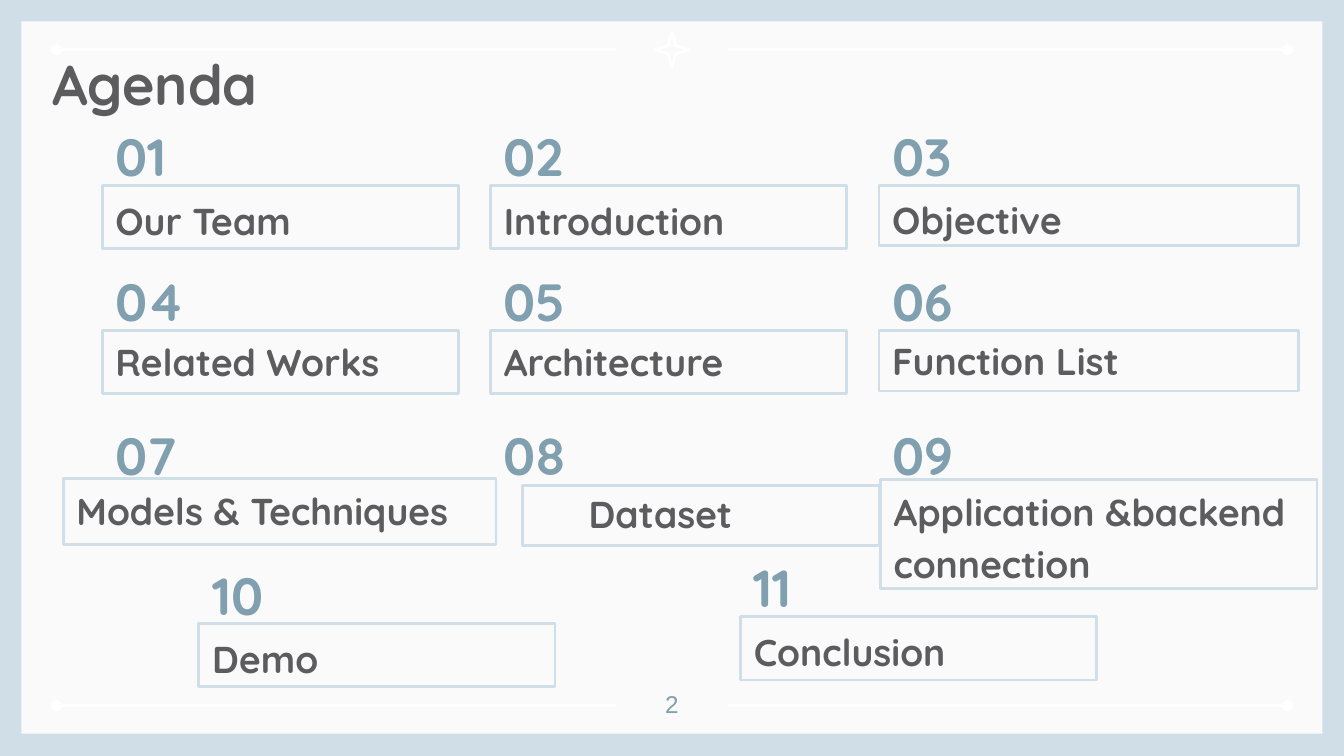
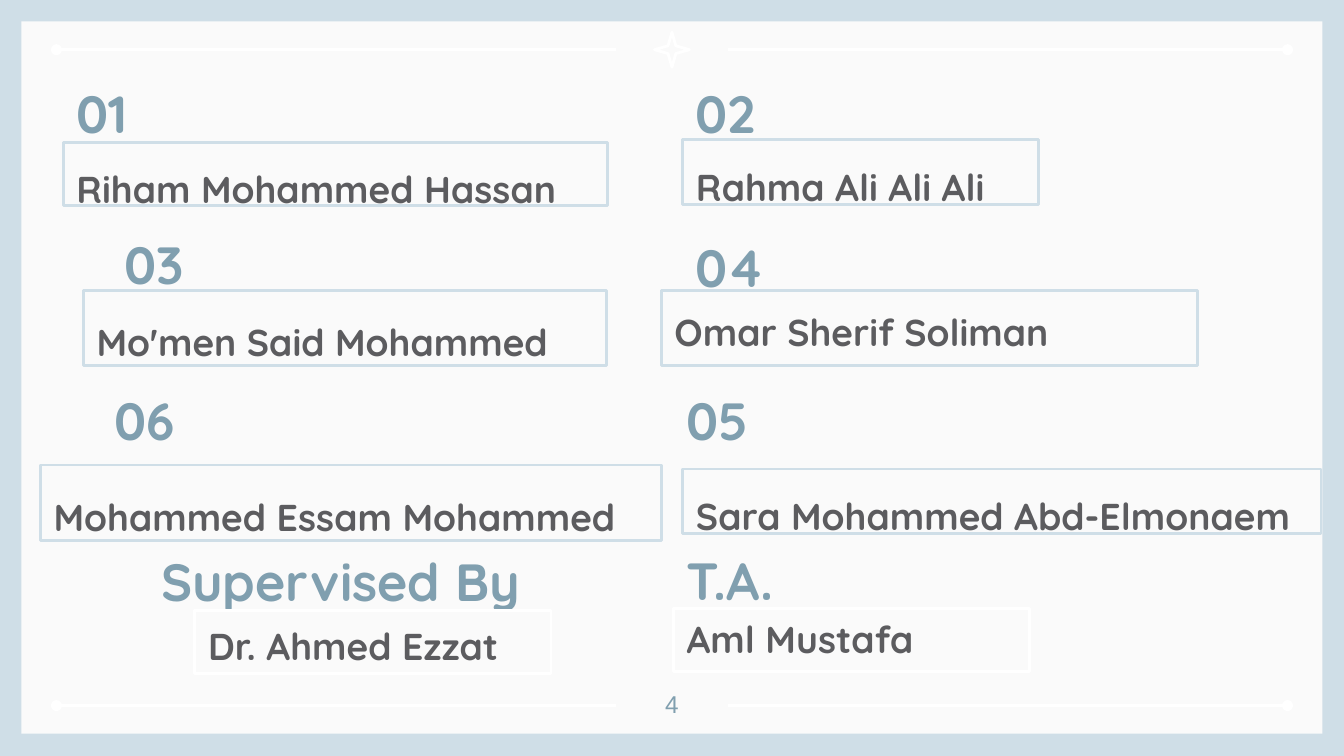
from dataclasses import dataclass

from lxml.etree import SubElement
from pptx import Presentation
from pptx.dml.color import RGBColor
from pptx.enum.shapes import MSO_CONNECTOR, MSO_SHAPE
from pptx.enum.text import MSO_ANCHOR, PP_ALIGN
from pptx.oxml.ns import qn
from pptx.util import Inches, Pt


@dataclass(frozen=True)
class Theme:
    frame: str = "CFDEE7"
    panel: str = "FAFAFA"
    ornament: str = "FFFFFF"
    accent: str = "809FAF"
    ink: str = "5C5C5F"
    font: str = "Quicksand"
    page_font: str = "Arial"
    title_size: int = 30
    number_size: int = 28
    label_size: int = 20
    page_size: int = 13
    line_width: float = 1.5
    line_spacing: float = 1.15
    inset: float = 0.1


THEME = Theme()
SLIDE_WIDTH = 10
SLIDE_HEIGHT = SLIDE_WIDTH * 9 / 16
NUMBER_SIZE = (0.72, 0.48)


def color(value):
    return RGBColor.from_string(value)


def write_text(shape, text, *, size, text_color, font=THEME.font, bold=True,
               align=PP_ALIGN.LEFT, anchor=MSO_ANCHOR.MIDDLE,
               spacing=THEME.line_spacing, indent=0, shift=0):
    """Fill a shape with one paragraph; shift moves the text down inside it."""
    frame = shape.text_frame
    frame.word_wrap = True
    frame.vertical_anchor = anchor
    frame.margin_left = Inches(THEME.inset + indent)
    frame.margin_right = Inches(THEME.inset)
    frame.margin_top = Inches(THEME.inset + shift)
    frame.margin_bottom = Inches(THEME.inset - shift)
    paragraph = frame.paragraphs[0]
    paragraph.alignment = align
    paragraph.line_spacing = spacing
    run = paragraph.add_run()
    run.text = text
    run.font.name = font
    run.font.size = Pt(size)
    run.font.bold = bold
    run.font.color.rgb = color(text_color)


def add_text(slide, box, text, **text_format):
    text_box = slide.shapes.add_textbox(*map(Inches, box))
    write_text(text_box, text, **text_format)


def add_box(slide, box, *, kind=MSO_SHAPE.RECTANGLE, fill=None, line=None):
    shape = slide.shapes.add_shape(kind, *map(Inches, box))
    shape.shadow.inherit = False
    if fill:
        shape.fill.solid()
        shape.fill.fore_color.rgb = color(fill)
    else:
        shape.fill.background()
    if line:
        shape.line.color.rgb = color(line)
        shape.line.width = Pt(THEME.line_width)
    else:
        shape.line.fill.background()
    return shape


def add_rule(slide, left, right, top, dotted_end):
    """Draw a horizontal rule with a dot at its headEnd or tailEnd."""
    rule = slide.shapes.add_connector(
        MSO_CONNECTOR.STRAIGHT, *map(Inches, (left, top, right, top)))
    rule.line.color.rgb = color(THEME.ornament)
    rule.line.width = Pt(THEME.line_width)
    properties = rule.element.spPr
    SubElement(properties.find(qn("a:ln")), qn(f"a:{dotted_end}"), type="oval")
    SubElement(properties, qn("a:effectLst"))


def add_ornaments(slide, box):
    """Place the rules and the star inside the panel."""
    left, top, width, height = box
    margin, length = 0.26, 4.16
    for rule_top in (top + 0.21, top + height - 0.21):
        start, end = left + margin, left + width - margin
        add_rule(slide, start, start + length, rule_top, "headEnd")
        add_rule(slide, end - length, end, rule_top, "tailEnd")
    star_size = 0.26
    star = add_box(
        slide, (left + (width - star_size) / 2, top + 0.08, star_size, star_size),
        kind=MSO_SHAPE.STAR_4_POINT, line=THEME.ornament)
    star.adjustments[0] = 0.157


def add_framed_slide(presentation, page_number):
    slide = presentation.slides.add_slide(presentation.slide_layouts[6])
    slide.background.fill.solid()
    slide.background.fill.fore_color.rgb = color(THEME.frame)
    panel = (0.16, 0.16, 9.68, 5.3)
    add_box(slide, panel, fill=THEME.panel)
    add_ornaments(slide, panel)
    add_text(slide, (4.7, 5.03, 0.6, 0.36), str(page_number),
             size=THEME.page_size, text_color=THEME.accent, bold=False,
             font=THEME.page_font, align=PP_ALIGN.CENTER,
             anchor=MSO_ANCHOR.TOP, spacing=1.0)
    return slide


def add_entry(slide, box, heading, label, heading_box=None,
              line=THEME.frame, **label_format):
    """Draw an outlined label with its heading, by default just above it."""
    left, top, _, _ = box
    add_text(slide, heading_box or (left, top - 0.5, *NUMBER_SIZE), heading,
             size=THEME.number_size, text_color=THEME.accent)
    write_text(add_box(slide, box, line=line), label,
               size=THEME.label_size, text_color=THEME.ink, **label_format)


def build_agenda(presentation):
    slide = add_framed_slide(presentation, 2)
    add_text(slide, (0.29, 0.27, 2.52, 0.61), "Agenda", size=THEME.title_size,
             text_color=THEME.ink, anchor=MSO_ANCHOR.TOP, spacing=1.0)

    columns = [0.76 + 2.89 * column for column in range(3)]
    sizes = [(2.65, 0.47), (2.65, 0.47), (3.12, 0.45)]
    grid = [
        (1.38, 0, ("Our Team", "Introduction", "Objective")),
        (2.46, -0.03, ("Related Works", "Architecture", "Function List")),
    ]
    for row, (top, shift, topics) in enumerate(grid):
        for column, topic in enumerate(topics):
            add_entry(slide, (columns[column], top, *sizes[column]),
                      f"{row * 3 + column + 1:02}", topic, shift=shift)

    third_row = [
        ((0.47, 3.56, 3.22, 0.49), "Models & Techniques", {"shift": -0.03}),
        ((3.89, 3.61, 2.65, 0.45), "Dataset", {"shift": -0.04, "indent": 0.39}),
        ((6.55, 3.57, 3.25, 0.81), "Application &backend connection", {}),
    ]
    for number, (left, entry) in enumerate(zip(columns, third_row), start=7):
        box, topic, label_format = entry
        add_entry(slide, box, f"{number:02}", topic,
                  heading_box=(left, 3.11, *NUMBER_SIZE), **label_format)

    add_entry(slide, (1.48, 4.64, 2.65, 0.47), "10", "Demo",
              heading_box=(1.48, 4.15, *NUMBER_SIZE))
    add_entry(slide, (5.51, 4.59, 2.65, 0.47), "11", "Conclusion")


def build_team(presentation):
    slide = add_framed_slide(presentation, 4)
    low = 0.08
    members = [
        ("01", (0.47, 0.56), "Riham Mohammed Hassan", (0.47, 1.06, 4.05, 0.47), low),
        ("02", (5.08, 0.56), "Rahma Ali Ali Ali", (5.08, 1.04, 2.65, 0.48), low),
        ("03", (0.83, 1.69), "Mo'men Said Mohammed", (0.62, 2.16, 3.89, 0.56), low),
        ("04", (5.08, 1.71), "Omar Sherif Soliman", (4.92, 2.16, 3.99, 0.56), 0),
        ("06", (0.75, 2.85), "Mohammed Essam Mohammed", (0.3, 3.46, 4.62, 0.56), low),
        ("05", (5.01, 2.85), "Sara Mohammed Abd-Elmonaem", (5.08, 3.49, 4.75, 0.48), low),
    ]
    for number, position, name, box, shift in members:
        add_entry(slide, box, number, name,
                  heading_box=(*position, *NUMBER_SIZE), shift=shift)

    add_entry(slide, (1.45, 4.54, 2.65, 0.47), "Supervised By", "Dr. Ahmed Ezzat",
              heading_box=(1.1, 4.02, 3.08, 0.53), line=THEME.ornament)
    add_entry(slide, (5.01, 4.53, 2.65, 0.47), "T.A.", "Aml Mustafa",
              heading_box=(5.01, 4.1, 1.3, 0.36), line=THEME.ornament, shift=-0.04)


def main():
    presentation = Presentation()
    presentation.slide_width = Inches(SLIDE_WIDTH)
    presentation.slide_height = Inches(SLIDE_HEIGHT)
    build_agenda(presentation)
    build_team(presentation)
    presentation.save("out.pptx")


if __name__ == "__main__":
    main()
